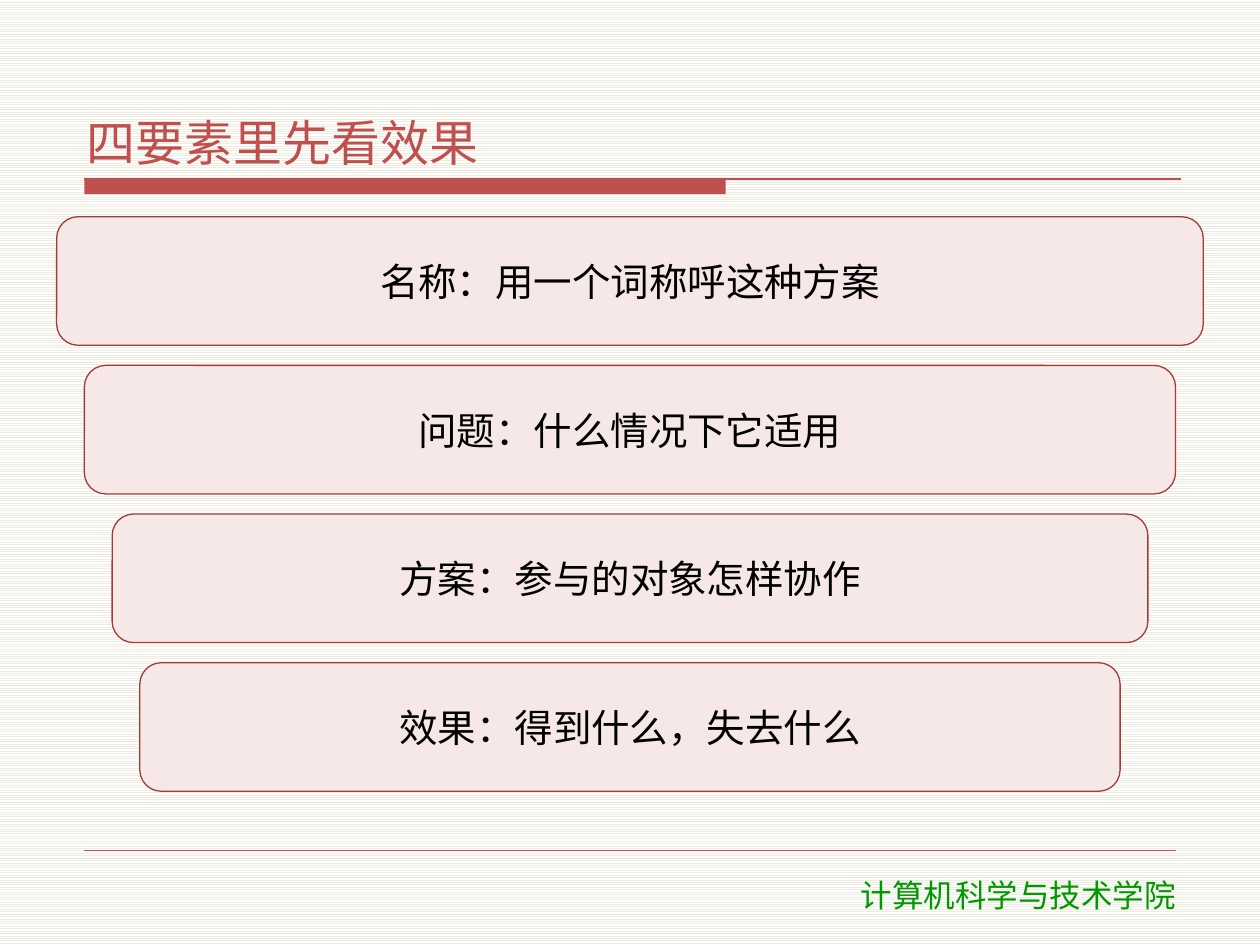
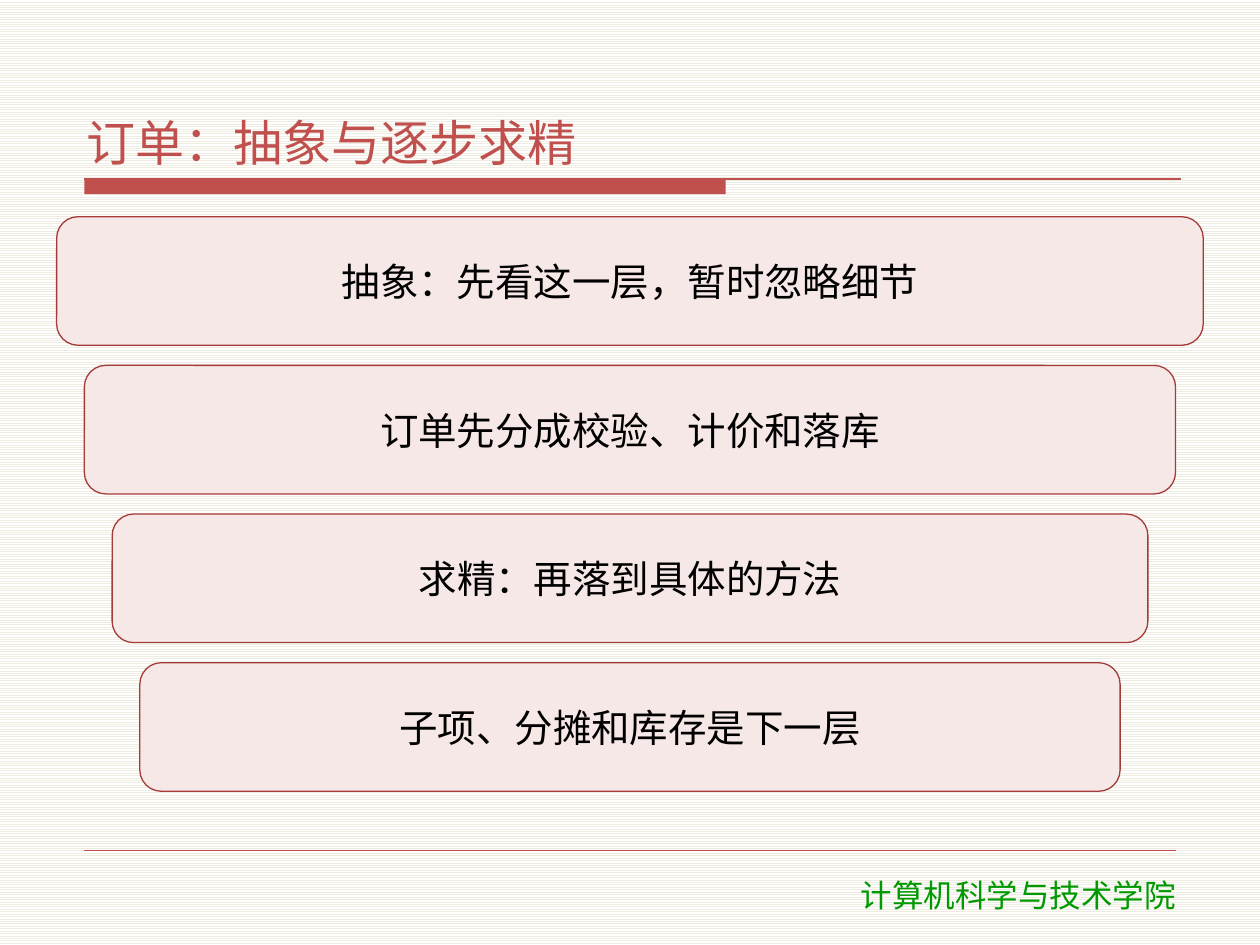
from lxml.etree import SubElement
from pptx import Presentation
from pptx.dml.color import RGBColor
from pptx.enum.dml import MSO_PATTERN
from pptx.enum.lang import MSO_LANGUAGE_ID as Language
from pptx.enum.shapes import MSO_CONNECTOR as Connector, MSO_SHAPE as Shape
from pptx.enum.text import MSO_ANCHOR as Anchor, MSO_AUTO_SIZE as AutoSize, PP_ALIGN as Align
from pptx.oxml.ns import qn
from pptx.util import Inches, Pt

ACCENT = "C0504D"
CARD_FILL = "F6E8E6"
CARD_LINE = "A33B38"
FOOTER_GREEN = "009900"
TEXT_FONT = "Noto Sans CJK SC"
FOOTER_FONT = "DejaVu Sans"
FOOTER = "计算机科学与技术学院"

SLIDES = [
    ("四要素里先看效果", [
        "名称：用一个词称呼这种方案",
        "问题：什么情况下它适用",
        "方案：参与的对象怎样协作",
        "效果：得到什么，失去什么",
    ]),
    ("订单：抽象与逐步求精", [
        "抽象：先看这一层，暂时忽略细节",
        "订单先分成校验、计价和落库",
        "求精：再落到具体的方法",
        "子项、分摊和库存是下一层",
    ]),
]


def color(hex_value):
    return RGBColor.from_string(hex_value)


class Deck:
    def __init__(self):
        self.presentation = Presentation()
        self.presentation.slide_width = Inches(10)
        self.presentation.slide_height = Inches(7.5)
        self.slide = None

    def new_slide(self, title):
        self.slide = self.presentation.slides.add_slide(self.presentation.slide_layouts[5])
        fill = self.slide.background.fill
        fill.patterned()
        fill.pattern = MSO_PATTERN.LIGHT_HORIZONTAL
        fill.fore_color.rgb = color("EEECE1")
        fill.back_color.rgb = color("FFFFFF")
        self.title(title)
        self.box(Shape.RECTANGLE, 0.67, 1.42, 5.09, 0.12, ACCENT)
        self.rule(0.67, 9.37, 1.42, 0.75)
        self.rule(0.67, 9.33, 6.75, 0.25)
        self.footer()

    def set_text(self, shape, text, size, hex_value, align, anchor, font_name=TEXT_FONT):
        frame = shape.text_frame
        frame.text = text
        frame.word_wrap = True
        frame.auto_size = AutoSize.NONE
        frame.vertical_anchor = anchor
        frame.margin_left = frame.margin_right = Inches(0.06)
        frame.margin_top = frame.margin_bottom = Inches(0.02)
        paragraph = frame.paragraphs[0]
        paragraph.alignment = align
        paragraph.space_after = Pt(2)
        run = paragraph.runs[0]
        run.font.size = Pt(size)
        run.font.color.rgb = color(hex_value)
        run.font.name = font_name
        run.font.language_id = Language.SIMPLIFIED_CHINESE
        SubElement(run._r.get_or_add_rPr(), qn("a:ea")).set("typeface", font_name)

    def title(self, text):
        title = self.slide.shapes.title
        title.left, title.top = Inches(0.63), Inches(0.33)
        title.width, title.height = Inches(8.75), Inches(1.05)
        self.set_text(title, text, 28, ACCENT, Align.LEFT, Anchor.BOTTOM)

    def footer(self):
        box = self.slide.shapes.add_textbox(Inches(6.07), Inches(6.9), Inches(4.02), Inches(0.4))
        self.set_text(box, FOOTER, 18, FOOTER_GREEN, Align.CENTER, Anchor.MIDDLE, FOOTER_FONT)

    def rule(self, left, right, top, weight):
        line = self.slide.shapes.add_connector(
            Connector.STRAIGHT, Inches(left), Inches(top), Inches(right), Inches(top))
        line.line.color.rgb = color(ACCENT)
        line.line.width = Pt(weight)
        SubElement(line._element.spPr, qn("a:effectLst"))

    def box(self, kind, left, top, width, height, fill, outline=None):
        shape = self.slide.shapes.add_shape(
            kind, Inches(left), Inches(top), Inches(width), Inches(height))
        shape.shadow.inherit = False
        shape.fill.solid()
        shape.fill.fore_color.rgb = color(fill)
        if outline:
            shape.line.color.rgb = color(outline)
            shape.line.width = Pt(0.75)
        else:
            shape.line.fill.background()
        return shape

    def narrowing_cards(self, texts):
        for index, text in enumerate(texts):
            left = 0.45 + 0.22 * index
            card = self.box(Shape.ROUNDED_RECTANGLE, left, 1.72 + 1.18 * index,
                            10 - 2 * left, 1.02, CARD_FILL, CARD_LINE)
            self.set_text(card, text, 22, "000000", Align.CENTER, Anchor.MIDDLE)


def main():
    deck = Deck()
    for title, texts in SLIDES:
        deck.new_slide(title)
        deck.narrowing_cards(texts)
    deck.presentation.save("out.pptx")


if __name__ == "__main__":
    main()
